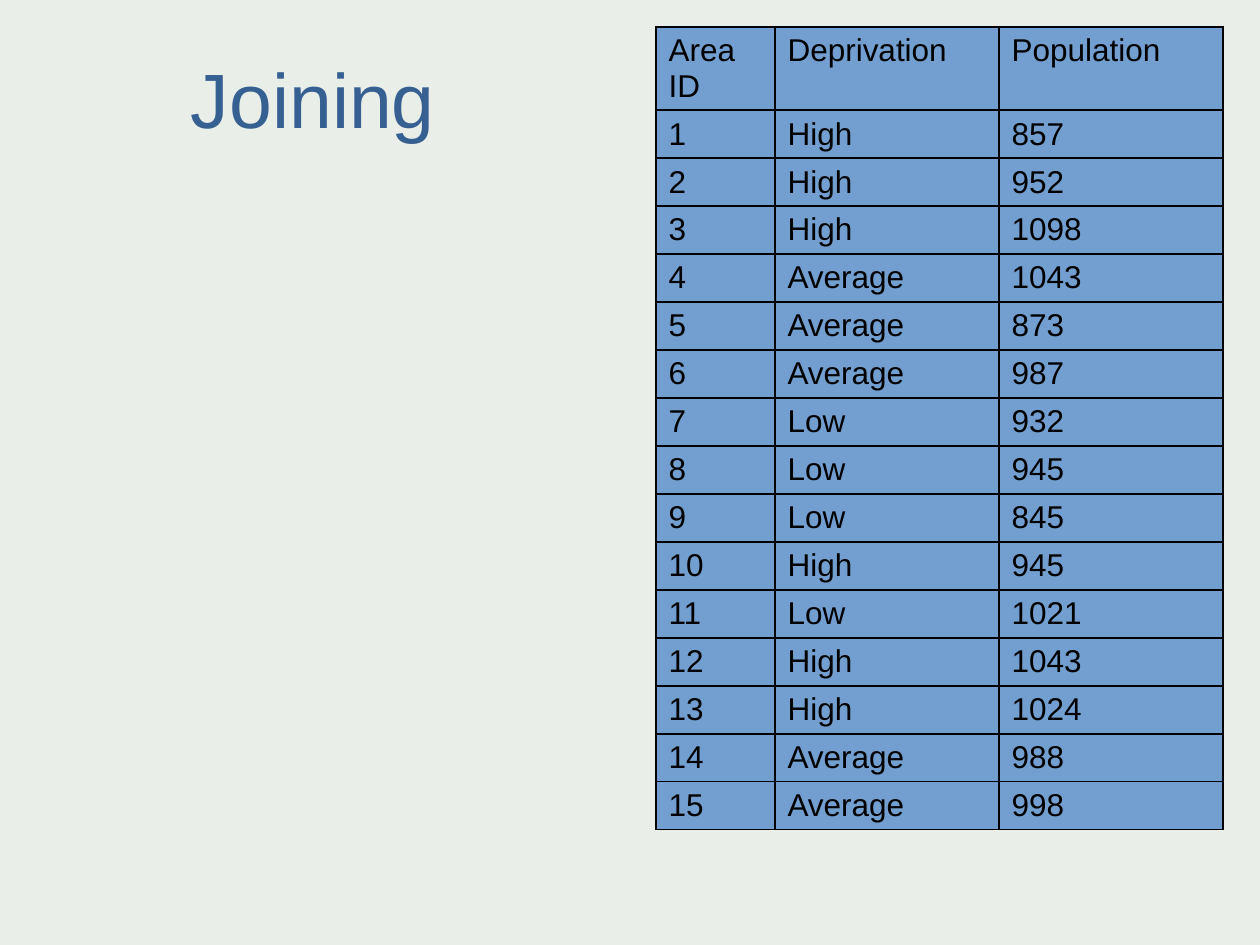
from lxml import etree
from pptx import Presentation
from pptx.dml.color import RGBColor
from pptx.enum.text import MSO_ANCHOR, PP_ALIGN
from pptx.oxml.ns import qn
from pptx.util import Pt

PX = 914400 // 126
TOP = MSO_ANCHOR.TOP
CENTER = PP_ALIGN.CENTER
COLORS = {"page": "E9EFE8", "title": "376092", "cell": "729FCF", "ink": "000000"}
TITLE_FONT = {"name": "Arial", "size": Pt(44)}
CELL_FONT = {"name": "Arial", "size": Pt(18)}


def write(para, text, font_format, color):
    span = para.add_run()
    span.text = text
    for name, value in font_format.items():
        setattr(span.font, name, value)
    span.font.color.rgb = RGBColor.from_string(COLORS[color])


def add_borders(cell):
    properties = cell._tc.get_or_add_tcPr()
    for position, side in enumerate(("a:lnL", "a:lnR", "a:lnT", "a:lnB")):
        line = etree.Element(qn(side), w=str(Pt(1)))
        fill = etree.SubElement(line, qn("a:solidFill"))
        etree.SubElement(fill, qn("a:srgbClr"), val=COLORS["ink"])
        properties.insert(position, line)


deck = Presentation()
deck.slide_width, deck.slide_height = 1260 * PX, 945 * PX
page = deck.slides.add_slide(deck.slide_layouts[6])
page.background.fill.solid()
page.background.fill.fore_color.rgb = RGBColor.from_string(COLORS["page"])

# Area table
deprivation = (["High"] * 3 + ["Average"] * 3 + ["Low"] * 3
               + ["High", "Low", "High", "High", "Average", "Average"])
population = [857, 952, 1098, 1043, 873, 987, 932, 945, 845,
              945, 1021, 1043, 1024, 988, 998]
rows = [("Area ID", "Deprivation", "Population")]
rows += zip(range(1, 16), deprivation, population)
widths = [119, 224, 224]
heights = [83] + [48] * 15

table = page.shapes.add_table(len(rows), len(widths), 656 * PX, 27 * PX,
                              sum(widths) * PX, sum(heights) * PX).table
table.first_row = table.horz_banding = False
for column, width in zip(table.columns, widths):
    column.width = width * PX
for row, height, values in zip(table.rows, heights, rows):
    row.height = height * PX
    for cell, value in zip(row.cells, values):
        cell.fill.solid()
        cell.fill.fore_color.rgb = RGBColor.from_string(COLORS["cell"])
        add_borders(cell)
        write(cell.text_frame.paragraphs[0], str(value), CELL_FONT, "ink")

# Title
box = page.shapes.add_textbox(63 * PX, 38 * PX, 500 * PX, 157 * PX)
frame_format = {"word_wrap": True, "vertical_anchor": TOP, "margin_top": 14 * PX}
for name, value in frame_format.items():
    setattr(box.text_frame, name, value)
para = box.text_frame.paragraphs[0]
para.alignment = CENTER
write(para, "Joining", TITLE_FONT, "title")

deck.save("out.pptx")
